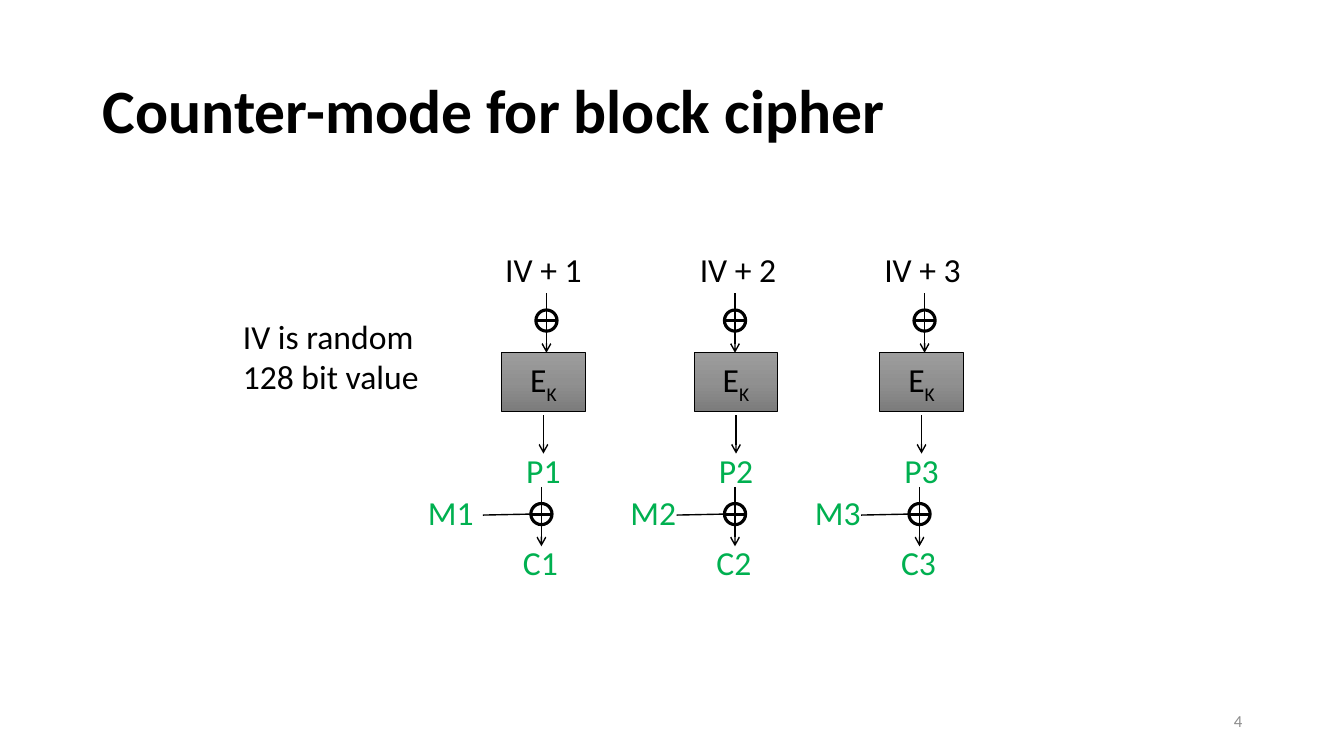
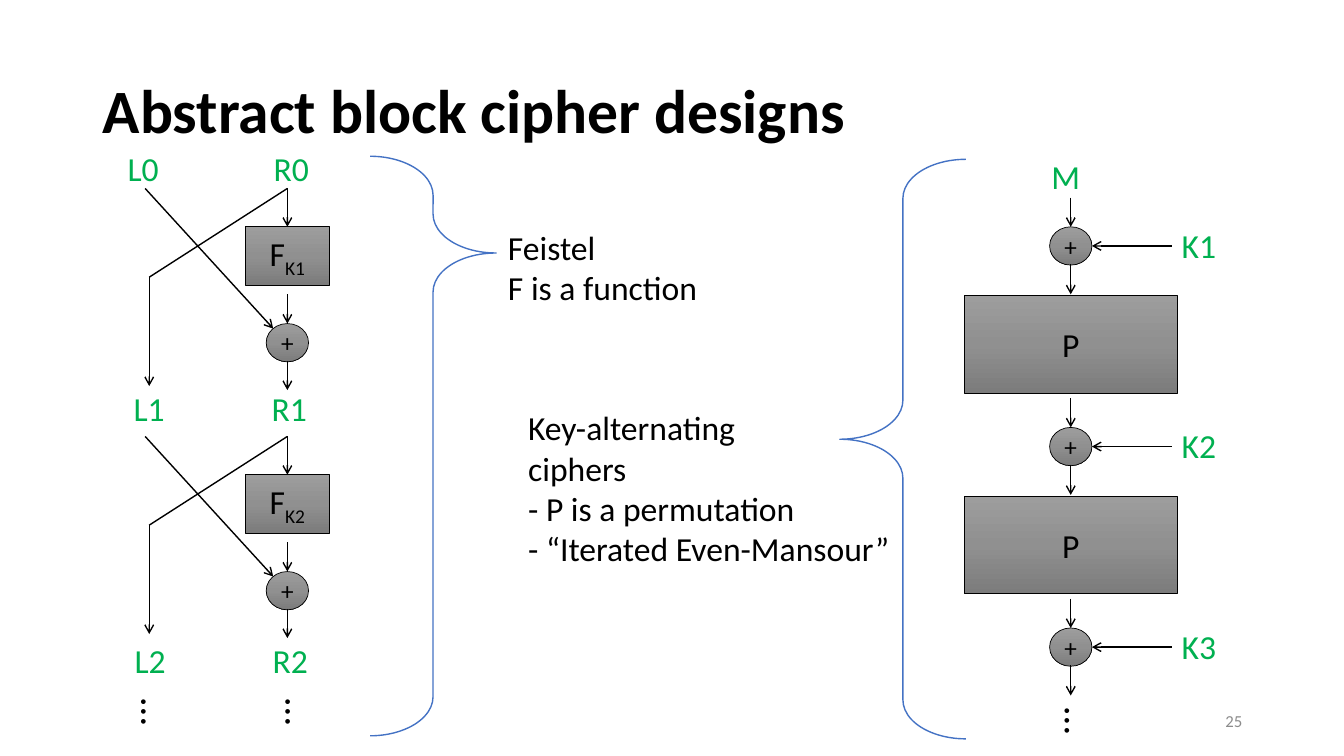
from copy import deepcopy

from lxml.etree import SubElement
from pptx import Presentation
from pptx.dml.color import RGBColor
from pptx.enum.shapes import MSO_CONNECTOR as Connector, MSO_SHAPE as Shape
from pptx.enum.text import MSO_ANCHOR as Anchor, MSO_AUTO_SIZE as AutoSize, PP_ALIGN as Align
from pptx.oxml.ns import qn
from pptx.util import Inches, Pt

FONT = "Calibri"
COLORS = {"black": "000000", "green": "00B050", "grey": "8C8C8C", "blue": "4472C4"}
BLOCK_GRADIENT = ((0, "9D9D9D"), (0.5, "909090"), (1, "7C7C7C"))
LABEL_HEIGHT = 0.5
BLOCK = (0.83, 0.58)
NODE = (0.42, 0.38)
XOR_SIZE = 0.21

# Counter mode: the labels and x positions of each column
COUNTER_TITLE = "Counter-mode for block cipher"
COUNTER_NOTE = "IV is random 128 bit value"
COUNTER_COLUMNS = [
    {"number": 1, "block": 5.39, "iv": 5.39, "input": 5.42, "output": 5.37, "message": 4.47},
    {"number": 2, "block": 7.3, "iv": 7.32, "input": 7.29, "output": 7.29, "message": 6.48},
    {"number": 3, "block": 9.14, "iv": 9.15, "input": 9.17, "output": 9.12, "message": 8.31},
]

# Abstract designs: Feistel rounds on the left, key-alternating rounds on the right
DESIGN_TITLE = "Abstract block cipher designs"
FEISTEL_NOTE = ["Feistel", "F is a function"]
ALTERNATING_NOTE = ["Key-alternating", "ciphers", "- P is a permutation",
                    "- “Iterated Even-Mansour”"]
FEISTEL_LABELS = [("L0", 1.42, 1.42), ("R0", 2.89, 1.42), ("L1", 1.48, 3.8),
                  ("R1", 2.87, 3.8), ("L2", 1.49, 6.3), ("R2", 2.88, 6.3)]
FEISTEL_KEYS = ["K1", "K2"]
FEISTEL_TOP, FEISTEL_STEP = 1.87, 2.46
LEFT_X, RIGHT_X = 1.48, 2.85
ALTERNATING_KEYS = ["K1", "K2", "K3"]
ALTERNATING_TOP, ALTERNATING_STEP = 2.25, 1.99
CHAIN_X = 10.62
ELLIPSES = [(1.32, 6.78), (2.75, 6.78), (10.48, 6.87)]
BRACES = [(3.67, 1.55, 0, 0.167), (8.33, 1.58, 180, 0.517)]


def color(name):
    return RGBColor.from_string(COLORS[name])


def style_run(run, size, color_name="black", bold=False):
    run.font.name = FONT
    run.font.size = Pt(size)
    run.font.bold = bold
    run.font.color.rgb = color(color_name)


def add_text(slide, box, lines, size=24, color_name="black", align=Align.LEFT,
             wrap=False, anchor=Anchor.TOP):
    shape = slide.shapes.add_textbox(*map(Inches, box))
    frame = shape.text_frame
    frame.word_wrap = wrap
    frame.vertical_anchor = anchor
    frame.text = "\n".join(lines)
    for paragraph in frame.paragraphs:
        paragraph.alignment = align
        for run in paragraph.runs:
            style_run(run, size, color_name)
    return shape


def add_label(slide, text, center, top, color_name="green"):
    width = 0.5 + 0.15 * len(text)
    add_text(slide, (center - width / 2, top, width, LABEL_HEIGHT), [text],
             color_name=color_name, align=Align.CENTER)


def add_line(slide, start, end, width=1, arrow=False):
    line = slide.shapes.add_connector(Connector.STRAIGHT, *map(Inches, start + end))
    line.line.color.rgb = color("black")
    line.line.width = Pt(width)
    if arrow:
        SubElement(line.line._get_or_add_ln(), qn("a:tailEnd"), type="arrow")
    SubElement(line._element.spPr, qn("a:effectLst"))


def add_outline(slide, kind, box, color_name, width):
    shape = slide.shapes.add_shape(kind, *map(Inches, box))
    shape.shadow.inherit = False
    shape.fill.background()
    shape.line.color.rgb = color(color_name)
    shape.line.width = Pt(width)
    return shape


def add_block(slide, kind, center, top, size, text, subscript="", font_size=24):
    width, height = size
    shape = add_outline(slide, kind, (center - width / 2, top, width, height), "black", 0.5)
    shape.fill.gradient()
    shape.fill.gradient_angle = 270
    stops = shape._element.spPr.find(qn("a:gradFill")).find(qn("a:gsLst"))
    stops.insert(1, deepcopy(stops[0]))
    for stop, (position, shade) in zip(shape.fill.gradient_stops, BLOCK_GRADIENT):
        stop.position = position
        stop.color.rgb = RGBColor.from_string(shade)
    frame = shape.text_frame
    frame.margin_left = frame.margin_right = frame.margin_top = frame.margin_bottom = 0
    frame.vertical_anchor = Anchor.MIDDLE
    paragraph = frame.paragraphs[0]
    paragraph.alignment = Align.CENTER
    for part in filter(None, (text, subscript)):
        run = paragraph.add_run()
        run.text = part
        style_run(run, font_size)
    if subscript:
        run._r.get_or_add_rPr().set("baseline", "-25000")


def add_plus_node(slide, center, top):
    add_block(slide, Shape.OVAL, center, top, NODE, "+", font_size=18)


def add_xor(slide, center, top):
    """Vertical arrow through a circled plus."""
    add_line(slide, (center, top), (center, top + 0.59), arrow=True)
    left, middle = center - XOR_SIZE / 2, top + 0.27
    add_outline(slide, Shape.OVAL, (left, middle - XOR_SIZE / 2, XOR_SIZE, XOR_SIZE),
                "black", 2.25)
    add_line(slide, (left, middle), (left + XOR_SIZE, middle), 2.25)


def add_slide(presentation, title_text, number):
    slide = presentation.slides.add_slide(presentation.slide_layouts[5])
    title = slide.shapes.title
    title.left, title.top, title.width, title.height = map(Inches, (0.92, 0.4, 11.5, 1.45))
    frame = title.text_frame
    frame.text = title_text
    frame.auto_size = AutoSize.NONE
    frame.vertical_anchor = Anchor.MIDDLE
    paragraph = frame.paragraphs[0]
    paragraph.alignment = Align.LEFT
    paragraph.line_spacing = 0.9
    style_run(paragraph.runs[0], 44, bold=True)
    add_text(slide, (9.42, 6.95, 3, 0.4), [str(number)], 12, "grey", Align.RIGHT,
             anchor=Anchor.MIDDLE)
    return slide


def build_counter_mode(presentation):
    slide = add_slide(presentation, COUNTER_TITLE, 4)
    add_text(slide, (2.31, 3.08, 2.11, 0.91), [COUNTER_NOTE], wrap=True)
    for column in COUNTER_COLUMNS:
        number, center, output = column["number"], column["block"], column["output"]
        add_label(slide, f"IV + {number}", column["iv"], 2.42, "black")
        add_block(slide, Shape.RECTANGLE, center, 3.5, BLOCK, "E", "K")
        add_xor(slide, column["input"], 2.91)
        add_line(slide, (center, 4.12), (center, 4.5), arrow=True)
        add_label(slide, f"P{number}", center, 4.41)
        add_xor(slide, output, 4.83)
        add_label(slide, f"M{number}", column["message"], 4.83)
        add_line(slide, (output - 0.58, 5.11), (output - XOR_SIZE / 2, 5.1))
        add_label(slide, f"C{number}", output - 0.01, 5.33)


def add_feistel_round(slide, top, key):
    add_block(slide, Shape.RECTANGLE, RIGHT_X, top + 0.38, BLOCK, "F", key)
    add_plus_node(slide, RIGHT_X, top + 1.34)
    for start, end in ((0, 0.38), (1.05, 1.34), (1.71, 2)):
        add_line(slide, (RIGHT_X, top + start), (RIGHT_X, top + end), arrow=True)
    add_line(slide, (1.44, top), (2.71, top + 1.39), arrow=True)
    add_line(slide, (RIGHT_X, top), (LEFT_X, top + 0.88))
    add_line(slide, (LEFT_X, top + 0.88), (LEFT_X, top + 1.96), arrow=True)


def add_alternating_round(slide, top, key, with_permutation):
    add_plus_node(slide, CHAIN_X, top)
    add_line(slide, (CHAIN_X, top - 0.29), (CHAIN_X, top), arrow=True)
    add_line(slide, (CHAIN_X, top + 0.37), (CHAIN_X, top + 0.67), arrow=True)
    middle = top + NODE[1] / 2
    add_line(slide, (11.62, middle), (CHAIN_X + NODE[0] / 2, middle), arrow=True)
    add_label(slide, key, 11.89, top - 0.07)
    if with_permutation:
        add_block(slide, Shape.RECTANGLE, CHAIN_X, top + 0.68, (2.11, 0.97), "P")


def build_designs(presentation):
    slide = add_slide(presentation, DESIGN_TITLE, 25)
    # Feistel network
    for label in FEISTEL_LABELS:
        add_label(slide, *label)
    for index, key in enumerate(FEISTEL_KEYS):
        add_feistel_round(slide, FEISTEL_TOP + index * FEISTEL_STEP, key)
    # Key-alternating cipher
    add_label(slide, "M", 10.57, 1.5)
    for index, key in enumerate(ALTERNATING_KEYS):
        add_alternating_round(slide, ALTERNATING_TOP + index * ALTERNATING_STEP, key,
                              key != ALTERNATING_KEYS[-1])
    # Continuation marks, braces and notes
    for left, top in ELLIPSES:
        add_text(slide, (left, top, 0.47, 0.57), ["…"], 28).rotation = 90
    for left, top, rotation, point in BRACES:
        brace = add_outline(slide, Shape.RIGHT_BRACE, (left, top, 1.25, 5.75), "blue", 1)
        brace.rotation = rotation
        brace.adjustments[0] = 0.31
        brace.adjustments[1] = point
    add_text(slide, (4.94, 2.2, 2.1, 0.91), FEISTEL_NOTE)
    add_text(slide, (5.14, 3.99, 3.8, 1.72), ALTERNATING_NOTE)


def main():
    presentation = Presentation()
    presentation.slide_width, presentation.slide_height = Inches(13.33), Inches(7.5)
    build_counter_mode(presentation)
    build_designs(presentation)
    presentation.save("out.pptx")


if __name__ == "__main__":
    main()
